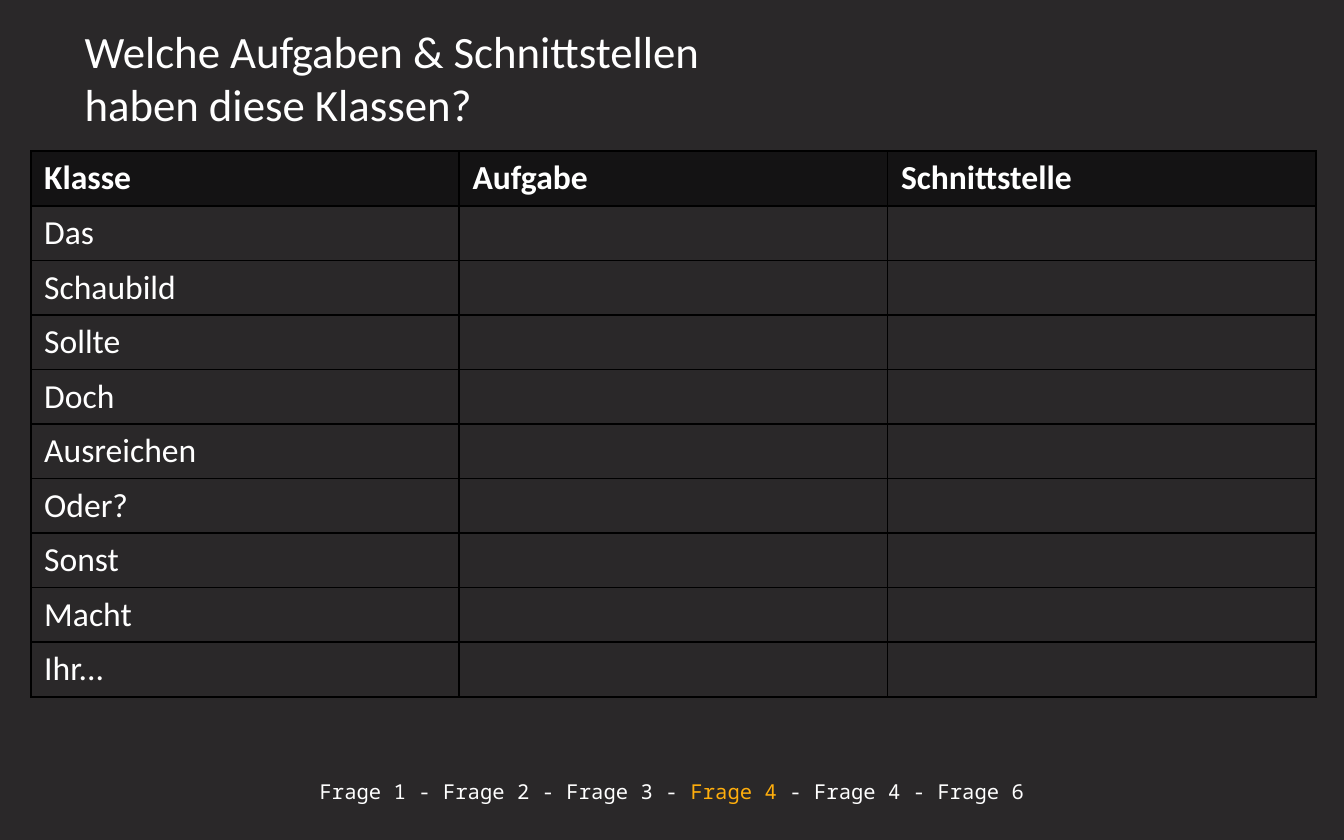
"""Build a question slide with a table of classes, tasks and interfaces."""
from typing import NamedTuple

from lxml import etree
from pptx import Presentation
from pptx.dml.color import RGBColor
from pptx.enum.shapes import MSO_SHAPE
from pptx.enum.text import MSO_ANCHOR, MSO_AUTO_SIZE, PP_ALIGN
from pptx.oxml.ns import qn
from pptx.util import Emu, Pt

RECT = MSO_SHAPE.RECTANGLE
MIDDLE = MSO_ANCHOR.MIDDLE
FIT_SHAPE = MSO_AUTO_SIZE.SHAPE_TO_FIT_TEXT
CENTER = PP_ALIGN.CENTER

DARK = RGBColor(0x2A, 0x28, 0x29)
BLACK = RGBColor(0x00, 0x00, 0x00)
WHITE = RGBColor(0xFF, 0xFF, 0xFF)
ORANGE = RGBColor(0xFF, 0xAE, 0x0C)

PX = 9525
BORDER_SIDES = ("a:lnL", "a:lnR", "a:lnT", "a:lnB")
TITLE = ("Welche Aufgaben & Schnittstellen", "haben diese Klassen?")
HEADERS = ("Klasse", "Aufgabe", "Schnittstelle")
CLASSES = ("Das", "Schaubild", "Sollte", "Doch", "Ausreichen", "Oder?",
           "Sonst", "Macht", "Ihr...")


class Box(NamedTuple):
    left: int
    top: int
    width: int
    height: int

    def emu(self) -> list[Emu]:
        return [Emu(v * PX) for v in self]


class Step(NamedTuple):
    text: str
    color: RGBColor


SLIDE = Box(0, 0, 960, 600)
TITLE_BAND = Box(0, 31, 960, 42)
TITLE_BOX = Box(51, 12, 911, 87)
TABLE = Box(22, 108, 918, 390)
FOOTER = Box(0, 551, 960, 28)
STEPS = (
    Step("Frage 1 - Frage 2 - Frage 3 - ", WHITE),
    Step("Frage 4 ", ORANGE),
    Step("- Frage 4 - Frage 6", WHITE),
)


def fill_solid(fill, color: RGBColor, element, percent: int) -> None:
    fill.solid()
    fill.fore_color.rgb = color
    clr = element.find(qn("a:solidFill")).find(qn("a:srgbClr"))
    etree.SubElement(clr, qn("a:alpha"), val=str(percent * 1000))


def style(p, font: str, size: int, color: RGBColor = WHITE,
          bold: bool = False) -> None:
    p.font.name = font
    p.font.size = Pt(size)
    p.font.color.rgb = color
    p.font.bold = bold


def add_band(s, box: Box):
    sp = s.shapes.add_shape(RECT, *box.emu())
    sp.shadow.inherit = False
    fill_solid(sp.fill, DARK, sp.element.spPr, 80)
    sp.line.fill.background()
    return sp


def add_title(s) -> None:
    tf = s.shapes.add_textbox(*TITLE_BOX.emu()).text_frame
    tf.word_wrap = True
    tf.auto_size = FIT_SHAPE
    tf.text = "\n".join(TITLE)
    for p in tf.paragraphs:
        style(p, "Calibri", 24)


def add_borders(cell) -> None:
    tc_pr = cell._tc.get_or_add_tcPr()
    for i, side in enumerate(BORDER_SIDES):
        ln = etree.Element(qn(side), w=str(Pt(1)))
        fill = etree.SubElement(ln, qn("a:solidFill"))
        etree.SubElement(fill, qn("a:srgbClr"), val=str(BLACK))
        tc_pr.insert(i, ln)


def add_class_table(s) -> None:
    rows = [HEADERS] + [(name, "", "") for name in CLASSES]
    table = s.shapes.add_table(len(rows), len(HEADERS), *TABLE.emu()).table
    for r, texts in enumerate(rows):
        is_header = r == 0
        for c, text in enumerate(texts):
            cell = table.cell(r, c)
            cell.text = text
            style(cell.text_frame.paragraphs[0], "Calibri", 18, bold=is_header)
            fill_solid(cell.fill, BLACK if is_header else DARK,
                       cell._tc.get_or_add_tcPr(), 50)
            add_borders(cell)


def add_footer(s) -> None:
    tf = add_band(s, FOOTER).text_frame
    tf.word_wrap = True
    tf.auto_size = FIT_SHAPE
    tf.vertical_anchor = MIDDLE
    p = tf.paragraphs[0]
    p.alignment = CENTER
    p.font.name = "Noto Sans Mono"
    p.font.size = Pt(11)
    for step in STEPS:
        r = p.add_run()
        r.text = step.text
        r.font.color.rgb = step.color


def main() -> None:
    prs = Presentation()
    prs.slide_width, prs.slide_height = SLIDE.emu()[2:]
    s = prs.slides.add_slide(prs.slide_layouts[6])
    s.background.fill.solid()
    s.background.fill.fore_color.rgb = DARK
    add_band(s, TITLE_BAND)
    add_title(s)
    add_class_table(s)
    add_footer(s)
    prs.save("out.pptx")


if __name__ == "__main__":
    main()
